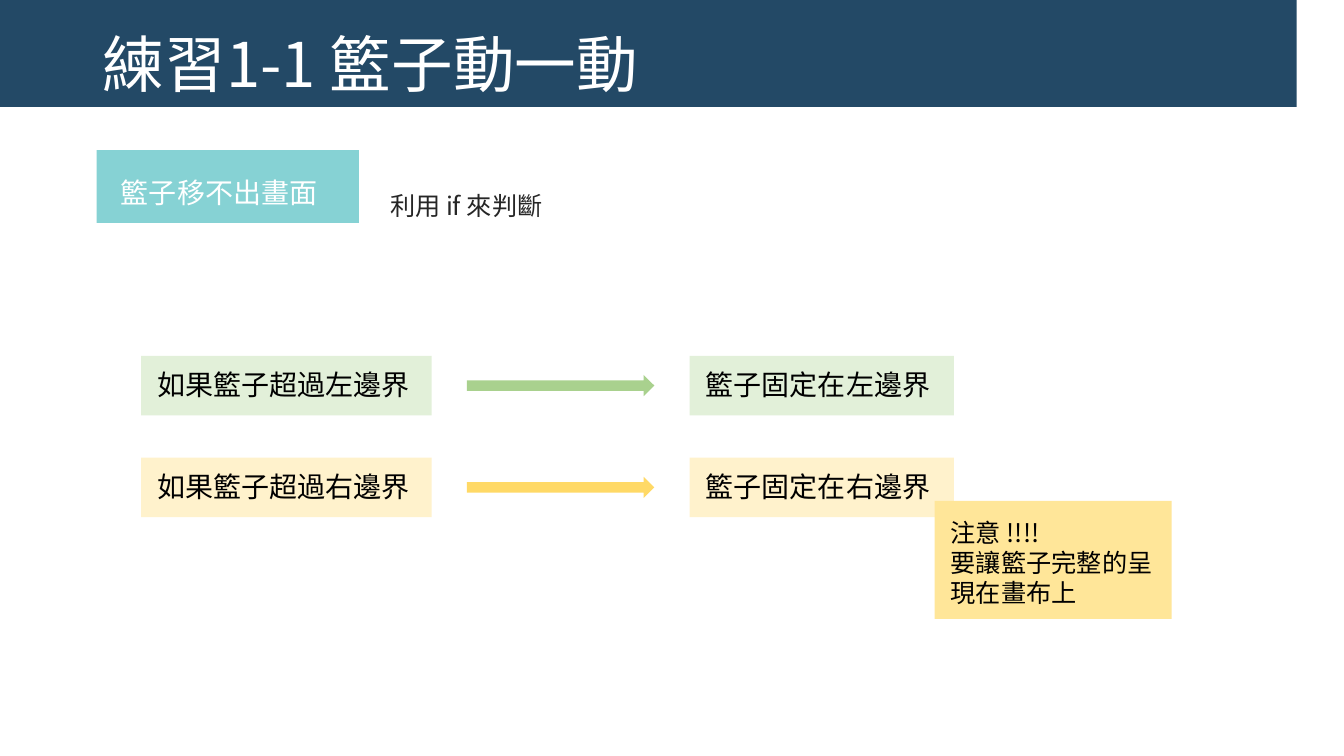
from lxml.etree import SubElement
from pptx import Presentation
from pptx.dml.color import RGBColor
from pptx.enum.shapes import MSO_SHAPE as Shape
from pptx.enum.text import MSO_ANCHOR as Anchor, MSO_AUTO_SIZE as AutoSize, PP_ALIGN as Align
from pptx.oxml.ns import qn
from pptx.util import Inches, Pt

FONT = "Noto Sans CJK SC"


def color(hex_string):
    return RGBColor.from_string(hex_string)


def set_values(target, values):
    for name, value in values.items():
        setattr(target, name, value)


def write_text(shape, lines, size, text_color, insets=(0.1, 0.05),
               spacing=1.0, anchor=Anchor.TOP):
    frame = shape.text_frame
    horizontal, vertical = map(Inches, insets)
    set_values(frame, {
        "word_wrap": True, "auto_size": AutoSize.NONE, "vertical_anchor": anchor,
        "margin_left": horizontal, "margin_right": horizontal,
        "margin_top": vertical, "margin_bottom": vertical,
    })
    for index, line in enumerate(lines):
        paragraph = frame.paragraphs[0] if index == 0 else frame.add_paragraph()
        set_values(paragraph, {"alignment": Align.LEFT, "line_spacing": spacing})
        run = paragraph.add_run()
        run.text = line
        set_values(run.font, {"size": Pt(size), "name": FONT})
        run.font.color.rgb = color(text_color)
        # Chinese characters take the East Asian typeface
        SubElement(run.font._element, qn("a:ea"), typeface=FONT)


def add_block(slide, kind, box, fill):
    shape = slide.shapes.add_shape(kind, *map(Inches, box))
    shape.shadow.inherit = False
    shape.fill.solid()
    shape.fill.fore_color.rgb = color(fill)
    shape.line.fill.background()
    return shape


def add_label(slide, box, fill, lines, size=20, text_color="000000",
              insets=(0.16, 0.12), spacing=1.0):
    label = add_block(slide, Shape.ROUNDED_RECTANGLE, box, fill)
    label.adjustments[0] = 0
    write_text(label, lines, size, text_color, insets, spacing)


def add_rule(slide, top, condition, result, fill, arrow_fill):
    add_label(slide, (1.4, top, 2.88, 0.59), fill, [condition])
    add_block(slide, Shape.RIGHT_ARROW, (4.63, top + 0.19, 1.86, 0.21), arrow_fill)
    add_label(slide, (6.84, top, 2.62, 0.59), fill, [result])


def add_title(slide, text):
    title = slide.shapes.title
    box = dict(zip(("left", "top", "width", "height"),
                   map(Inches, (0.92, 0.28, 7.34, 0.78))))
    set_values(title, box)
    write_text(title, [text], 44, "FFFFFF", spacing=0.9, anchor=Anchor.MIDDLE)
    # Bring the title in front of the banner
    title.element.getparent().append(title.element)


def main():
    presentation = Presentation()
    set_values(presentation, {"slide_width": Inches(13.33), "slide_height": Inches(7.5)})
    slide = presentation.slides.add_slide(presentation.slide_layouts[5])

    # Banner and topic
    add_block(slide, Shape.RECTANGLE, (0, 0, 12.86, 1.06), "234966")
    add_label(slide, (0.96, 1.49, 2.6, 0.72), "86D2D4", ["籃子移不出畫面"],
              text_color="FFFFFF", insets=(0.24, 0.08), spacing=1.5)
    hint = slide.shapes.add_textbox(*map(Inches, (3.77, 1.84, 1.73, 0.4)))
    write_text(hint, ["利用 if 來判斷"], 18, "262626")

    # Boundary rules
    add_rule(slide, 3.53, "如果籃子超過左邊界", "籃子固定在左邊界", "E2F0D9", "A9D18E")
    add_rule(slide, 4.54, "如果籃子超過右邊界", "籃子固定在右邊界", "FFF2CC", "FFD966")

    # Warning note
    add_label(slide, (9.27, 4.97, 2.35, 1.17), "FFE699",
              ["注意 !!!!", "要讓籃子完整的呈現在畫布上"], size=18, insets=(0.16, 0.16))

    add_title(slide, "練習1-1 籃子動一動")
    presentation.save("out.pptx")


if __name__ == "__main__":
    main()
